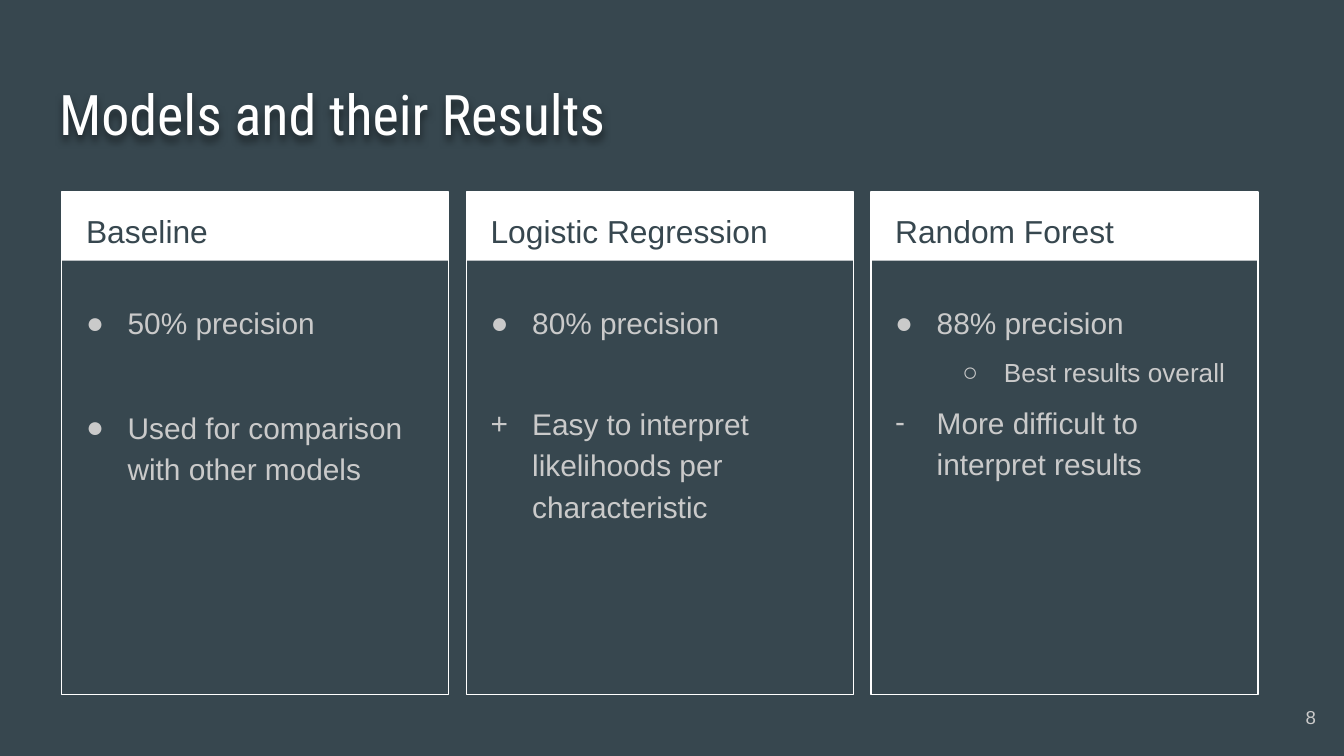
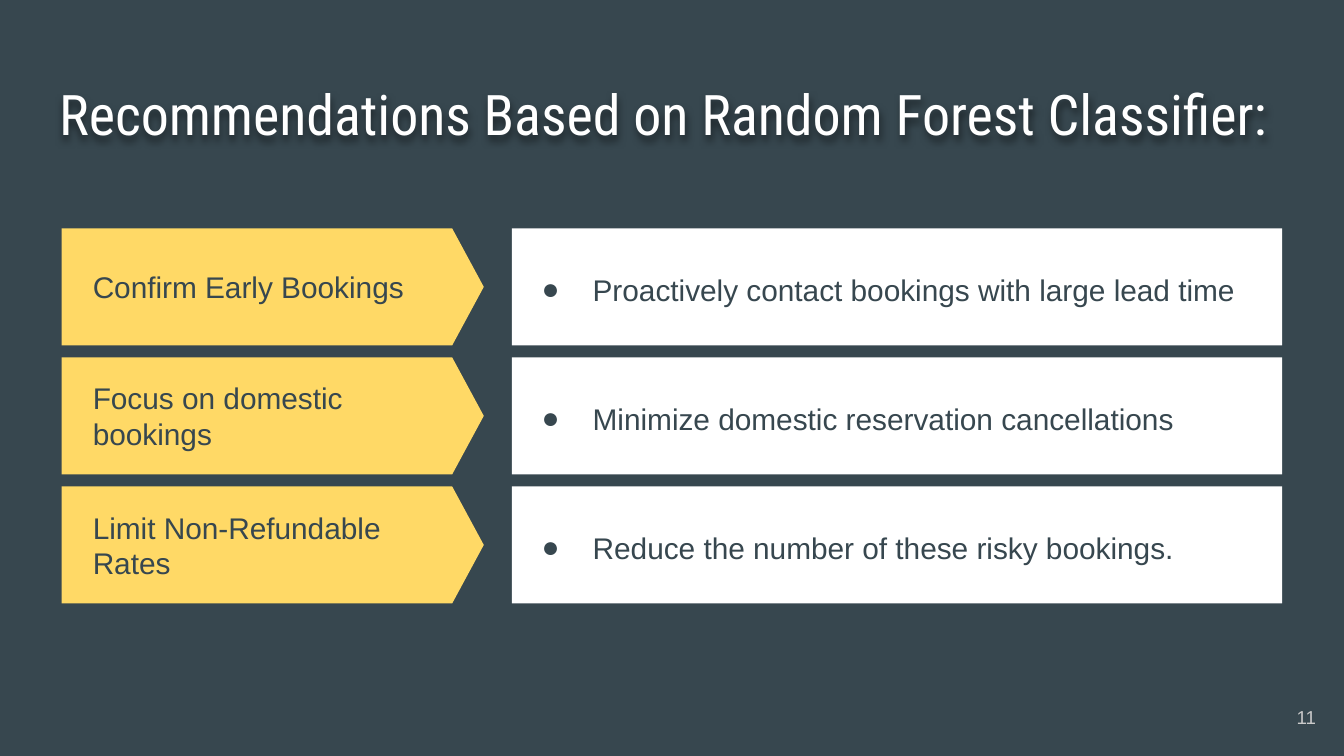
from copy import deepcopy

from lxml.etree import SubElement
from pptx import Presentation
from pptx.dml.color import RGBColor
from pptx.enum.shapes import MSO_SHAPE
from pptx.enum.text import MSO_ANCHOR, MSO_AUTO_SIZE, PP_ALIGN
from pptx.oxml.ns import qn
from pptx.util import Inches, Pt

# Shared colours and fonts
SLATE = RGBColor(0x37, 0x47, 0x4F)
WHITE = RGBColor(0xFF, 0xFF, 0xFF)
GREY = RGBColor(0xCA, 0xCA, 0xCA)
YELLOW = RGBColor(0xFF, 0xD9, 0x66)
TITLE = {"name": "Roboto Condensed", "size": Pt(30), "bold": False}
HEAD = {"name": "Arial", "size": Pt(17), "bold": False}
BODY = {**HEAD, "size": Pt(16)}
SUB = {**HEAD, "size": Pt(14)}
FOOT = {**HEAD, "size": Pt(10)}

# Slide size at 16 to 9, and the grid in inches
WIDE = Inches(10)
HIGH = WIDE * 9 // 16
LEFT = 0.46
COL_TOP, COL_STEP, COL_W, COL_H, BAND_H = 1.43, 3.01, 2.88, 3.74, 0.51
ROW_TOP, ROW_STEP, ROW_H = 1.7, 0.96, 0.87
TAG_W, BAR_X, BAR_W = 3.14, 3.81, 5.73
DOT, RING = "●", "○"

# Heading, then items: text, mark, points after, level
MODELS = [
    ("Baseline", [
        ("50% precision", DOT, 34, 0),
        ("Used for comparison with other models", DOT, 6, 0)]),
    ("Logistic Regression", [
        ("80% precision", DOT, 32, 0),
        ("Easy to interpret likelihoods per characteristic", "+", 6, 0)]),
    ("Random Forest", [
        ("88% precision", DOT, 6, 0),
        ("Best results overall", RING, 6, 1),
        ("More difficult to interpret results", "-", 6, 0)]),
]
ADVICE = [
    ("Confirm Early Bookings",
     "Proactively contact bookings with large lead time"),
    ("Focus on domestic bookings",
     "Minimize domestic reservation cancellations"),
    ("Limit Non-Refundable Rates",
     "Reduce the number of these risky bookings."),
]


def apply(obj, form):
    for key, val in form.items():
        setattr(obj, key, val)


def place(box, x, y, w, h):
    apply(box, {"left": Inches(x), "top": Inches(y),
                "width": Inches(w), "height": Inches(h)})


def block(slide, kind, x, y, w, h, fill=None, line=None):
    """Draw a filled or outlined preset shape."""
    shape = slide.shapes.add_shape(
        kind, Inches(x), Inches(y), Inches(w), Inches(h))
    shape.shadow.inherit = False
    if fill is None:
        shape.fill.background()
    else:
        shape.fill.solid()
        shape.fill.fore_color.rgb = fill
    if line is None:
        shape.line.fill.background()
    else:
        shape.line.color.rgb = line
        shape.line.width = Pt(0.75)
    return shape


def frame(box, anchor):
    """Set margins and wrapping, and bring the text to the front."""
    text = box.text_frame
    edge = Inches(0.1)
    apply(text, {"word_wrap": True, "auto_size": MSO_AUTO_SIZE.NONE,
                 "vertical_anchor": anchor, "margin_left": edge,
                 "margin_right": edge, "margin_top": edge,
                 "margin_bottom": edge})
    box._element.getparent().append(box._element)
    return text


def write(para, words, font, hue, gap=1.0, after=0, align=PP_ALIGN.LEFT):
    apply(para, {"alignment": align, "line_spacing": gap,
                 "space_before": Pt(0), "space_after": Pt(after)})
    run = para.add_run()
    run.text = words
    apply(run.font, font)
    run.font.color.rgb = hue


def bullet(para, mark, hue, indent, hang):
    """Give a paragraph a mark, or none, with a hanging indent."""
    props = para._p.get_or_add_pPr()
    props.set("marL", str(Inches(indent)))
    props.set("indent", str(-Inches(hang)))
    if not mark:
        SubElement(props, qn("a:buNone"))
        return
    tint = SubElement(props, qn("a:buClr"))
    SubElement(tint, qn("a:srgbClr"), val=str(hue))
    SubElement(props, qn("a:buFont"), typeface="Arial")
    SubElement(props, qn("a:buChar"), char=mark)


def label(box, words, font, anchor, gap=1.0):
    para = frame(box, anchor).paragraphs[0]
    write(para, words, font, SLATE, gap)
    bullet(para, None, SLATE, 0, 0)


def shade(box):
    """Add a soft shadow below the title."""
    fx = SubElement(box._element.spPr, qn("a:effectLst"))
    cast = SubElement(fx, qn("a:outerShdw"), blurRad="57150", dist="28575",
                      dir="5400000", algn="bl", rotWithShape="0")
    tint = SubElement(cast, qn("a:srgbClr"), val="000000")
    SubElement(tint, qn("a:alpha"), val="50000")


def set_base(deck, count):
    """Colour the master and give its content layout more text bodies."""
    back = deck.slide_master.background.fill
    back.solid()
    back.fore_color.rgb = SLATE
    base = deck.slide_layouts[1]
    first = base.placeholders[1]._element
    first.xpath(".//p:ph")[0].set("type", "body")
    for idx in range(2, count + 1):
        twin = deepcopy(first)
        twin.xpath(".//p:ph")[0].set("idx", str(idx))
        twin.xpath(".//p:cNvPr")[0].set("id", str(20 + idx))
        first.getparent().append(twin)
    return base


def start(deck, base, words, page):
    """Add a slide with its title and number; return it and its bodies."""
    slide = deck.slides.add_slide(base)
    title = slide.shapes.title
    place(title, 0.34, 0.49, 9.32, 0.63)
    write(frame(title, MSO_ANCHOR.TOP).paragraphs[0], words, TITLE, WHITE)
    shade(title)
    foot = slide.shapes.add_textbox(0, 0, 0, 0)
    place(foot, 9.29, 5.12, 0.6, 0.43)
    write(frame(foot, MSO_ANCHOR.MIDDLE).paragraphs[0], page, FOOT, GREY,
          align=PP_ALIGN.RIGHT)
    return slide, list(slide.placeholders)[1:]


def card(slide, col, name, items, head, body):
    """Draw one model column: band, outline, heading and list."""
    x = LEFT + col * COL_STEP
    rect = MSO_SHAPE.RECTANGLE
    block(slide, rect, x, COL_TOP, COL_W, BAND_H, fill=WHITE)
    block(slide, rect, x, COL_TOP, COL_W, COL_H, line=WHITE)
    place(head, x + 0.08, COL_TOP, 2.73, 0.5)
    label(head, name, HEAD, MSO_ANCHOR.TOP, 1.15)
    place(body, x + 0.08, COL_TOP + 0.7, 2.71, 1.9)
    text = frame(body, MSO_ANCHOR.TOP)
    for num, (words, mark, after, level) in enumerate(items):
        para = text.add_paragraph() if num else text.paragraphs[0]
        para.level = level
        write(para, words, SUB if level else BODY, GREY, 1.15, after)
        bullet(para, mark, GREY, 0.31 + level * 0.5, 0.31)


def advise(slide, row, name, words, head, body):
    """Draw one advice row: arrow tag and white bar."""
    y = ROW_TOP + row * ROW_STEP
    block(slide, MSO_SHAPE.RECTANGLE, BAR_X, y, BAR_W, ROW_H, fill=WHITE)
    tag = block(slide, MSO_SHAPE.PENTAGON, LEFT, y, TAG_W, ROW_H, fill=YELLOW)
    tag.adjustments[0] = 0.27
    place(head, LEFT + 0.13, y, 2.65, ROW_H)
    label(head, name, BODY, MSO_ANCHOR.MIDDLE)
    place(body, BAR_X, y, 5.6, ROW_H)
    para = frame(body, MSO_ANCHOR.MIDDLE).paragraphs[0]
    write(para, words, BODY, SLATE, 1.15)
    bullet(para, DOT, SLATE, 0.5, 0.38)


def main():
    deck = Presentation()
    apply(deck, {"slide_width": WIDE, "slide_height": HIGH})
    base = set_base(deck, 2 * len(MODELS))

    # Models
    slide, holds = start(deck, base, "Models and their Results", "8")
    for col, (name, items) in enumerate(MODELS):
        card(slide, col, name, items, *holds[2 * col:2 * col + 2])

    # Recommendations
    slide, holds = start(
        deck, base, "Recommendations Based on Random Forest Classifier:", "11")
    for row, (name, words) in enumerate(ADVICE):
        advise(slide, row, name, words, *holds[2 * row:2 * row + 2])

    deck.save("out.pptx")


if __name__ == "__main__":
    main()
